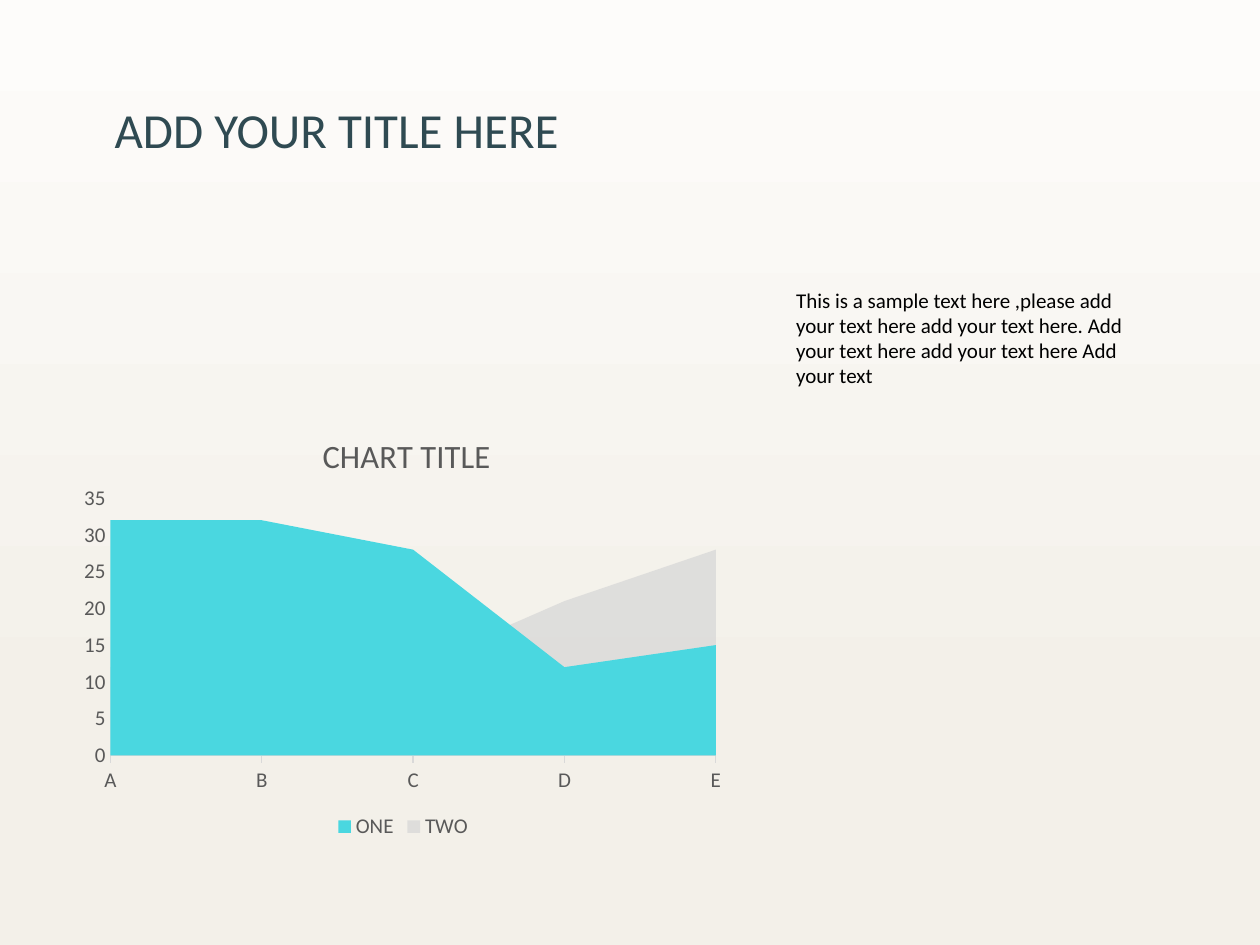
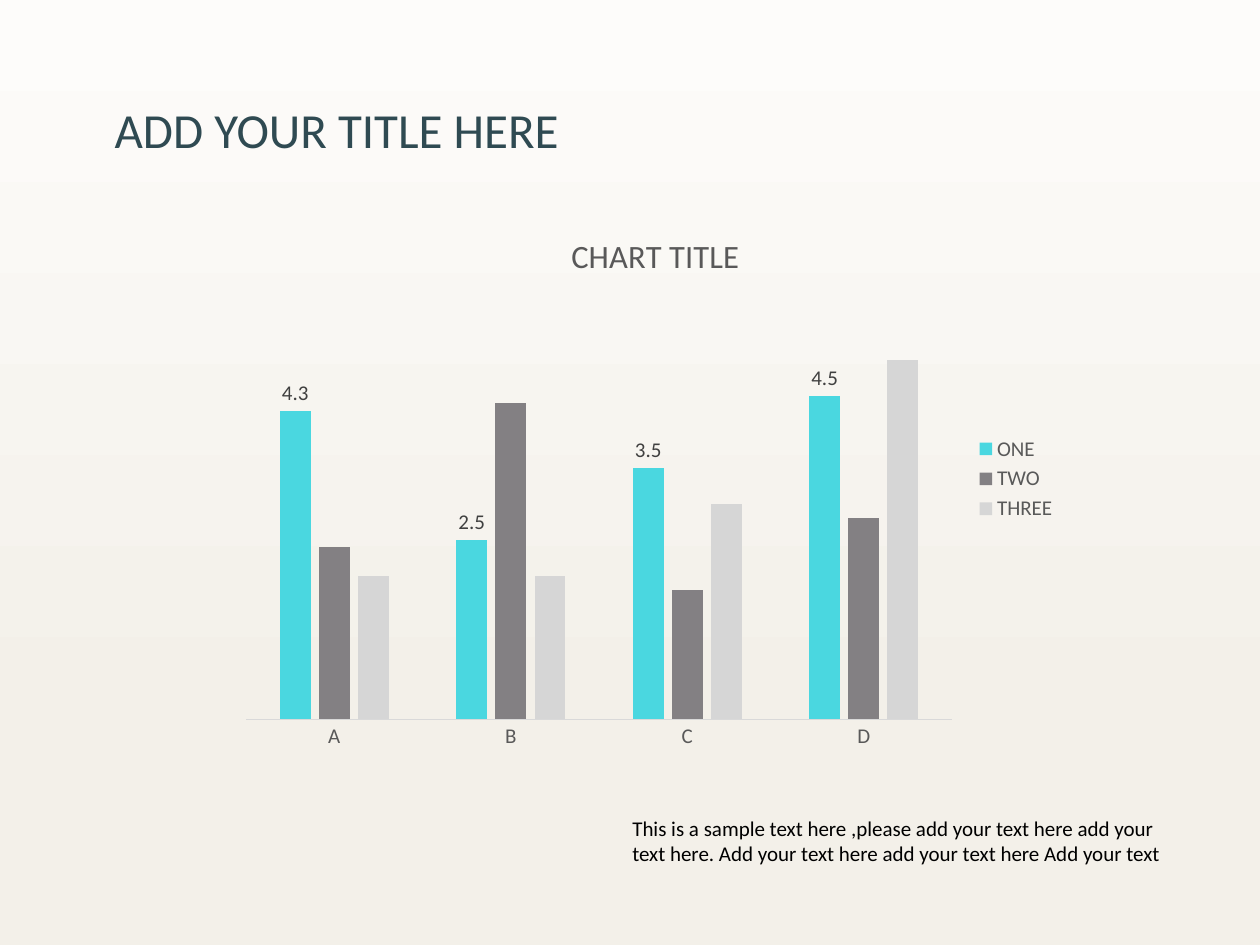
from pptx import Presentation, util as u
from pptx.chart.data import CategoryChartData
from pptx.dml.color import RGBColor
from pptx.enum import chart as ch, text as tx
from pptx.oxml import parse_xml
from pptx.oxml.ns import nsdecls, qn

WIDE, HIGH = 10, 7.5
FONT = "Calibri"
INK, BLACK, GREY, DARK, RULE = "2F4A52", "000000", "595959", "404040", "D9D9D9"
AQUA, SLATE, SILVER = "4AD7E0", "838083", "D6D6D6"
FADE = [(0.23, "F3F0E9"), (1, "FDFCFA")]

HEAD = "ADD YOUR TITLE HERE"
HEAD_BOX = (0.81, 0.74, 3.78, 0.57)
NOTE = ("This is a sample text here ,please add your text here add your text here. "
        "Add your text here add your text here Add your text")
LABEL = "CHART TITLE"

# Boxes are left, top, width, height in inches; "name" and "plot" are shares of the chart.
PAGES = [
    dict(note=(6.22, 2.23, 2.95, 0.91), box=(0.56, 3.18, 5.28, 3.52),
         kind=ch.XL_CHART_TYPE.AREA, legend=ch.XL_LEGEND_POSITION.BOTTOM,
         name=(0.37, 0.06), plot=(0.06, 0.22, 0.91, 0.58),
         top=35, step=5, ticks=ch.XL_TICK_MARK.OUTSIDE, scale=True,
         cats="ABCDE",
         series=[("ONE", [32, 32, 28, 12, 15], AQUA, 100),
                 ("TWO", [12, 12, 12, 21, 28], SILVER, 70)]),
    dict(note=(4.92, 6.42, 4.5, 0.5), box=(1.82, 1.58, 6.67, 4.44),
         kind=ch.XL_CHART_TYPE.COLUMN_CLUSTERED, legend=ch.XL_LEGEND_POSITION.RIGHT,
         name=(0.4, 0.05), plot=(0.02, 0.16, 0.84, 0.77),
         top=6, step=1, ticks=ch.XL_TICK_MARK.NONE, scale=False,
         cats="ABCD", bars=dict(gap_width=219, overlap=-27), marked="ONE",
         series=[("ONE", [4.3, 2.5, 3.5, 4.5], AQUA, 100),
                 ("TWO", [2.4, 4.4, 1.8, 2.8], SLATE, 100),
                 ("THREE", [2, 2, 3, 5], SILVER, 100)]),
]


def rgb(code):
    return RGBColor.from_string(code)


def put(thing, **values):
    for key, value in values.items():
        setattr(thing, key, value)


def style(font, size, color):
    put(font, name=FONT, size=u.Pt(size), bold=False)
    font.color.rgb = rgb(color)


def write(shape, words, size, color):
    frame = shape.text_frame
    put(frame, text=words, word_wrap=True, auto_size=tx.MSO_AUTO_SIZE.NONE,
        vertical_anchor=tx.MSO_ANCHOR.TOP)
    para = frame.paragraphs[0]
    para.alignment = tx.PP_ALIGN.LEFT
    style(para.runs[0].font, size, color)


def pin(part, shares, inner=False):
    """Fix a chart part at shares of the chart's size."""
    old = part.find(qn("c:layout"))
    if old is not None:
        part.remove(old)
    rows = '<c:layoutTarget val="inner"/>' if inner else ""
    rows += '<c:xMode val="edge"/><c:yMode val="edge"/>'
    rows += "".join(f'<c:{key} val="{share}"/>' for key, share in zip("xywh", shares))
    node = parse_xml(f'<c:layout {nsdecls("c")}><c:manualLayout>{rows}'
                     '</c:manualLayout></c:layout>')
    words = part.find(qn("c:tx"))
    if words is not None:
        words.addnext(node)
    else:
        part.insert(0, node)


def paint(series, color, alpha):
    fill = series.format.fill
    fill.solid()
    fill.fore_color.rgb = rgb(color)
    if alpha < 100:
        tint = series._element.find(".//" + qn("a:srgbClr"))
        tint.append(parse_xml(f'<a:alpha {nsdecls("a")} val="{alpha * 1000}"/>'))


def add_axes(chart, page):
    cat, val = chart.category_axis, chart.value_axis
    none = ch.XL_TICK_MARK.NONE
    for axis in (cat, val):
        put(axis, has_major_gridlines=False, minor_tick_mark=none)
        style(axis.tick_labels.font, 12, GREY)
    cat.major_tick_mark = page["ticks"]
    cat.format.line.color.rgb = rgb(RULE)
    cat.format.line.width = u.Pt(0.75)
    put(val, minimum_scale=0, maximum_scale=page["top"], major_unit=page["step"],
        major_tick_mark=none)
    val.format.line.fill.background()
    if not page["scale"]:
        val.tick_label_position = ch.XL_TICK_LABEL_POSITION.NONE


def add_chart(slide, page):
    data = CategoryChartData()
    data.categories = list(page["cats"])
    for name, vals, *_ in page["series"]:
        data.add_series(name, vals)
    chart = slide.shapes.add_chart(page["kind"], *map(u.Inches, page["box"]), data).chart
    style(chart.font, 10, BLACK)

    chart.has_title = True
    frame = chart.chart_title.text_frame
    frame.text = LABEL
    style(frame.paragraphs[0].runs[0].font, 18.6, GREY)
    pin(chart.chart_title._element, page["name"])
    pin(chart._chartSpace.chart.plotArea, page["plot"], inner=True)

    chart.has_legend = True
    put(chart.legend, position=page["legend"], include_in_layout=False)
    style(chart.legend.font, 12, GREY)
    add_axes(chart, page)

    plot = chart.plots[0]
    plot.vary_by_categories = False
    put(plot, **page.get("bars", {}))
    for series, (name, _, color, alpha) in zip(plot.series, page["series"]):
        paint(series, color, alpha)
        if name == page.get("marked"):
            labels = series.data_labels
            put(labels, show_value=True, position=ch.XL_LABEL_POSITION.OUTSIDE_END)
            style(labels.font, 12, DARK)


def add_page(deck, page):
    slide = deck.slides.add_slide(deck.slide_layouts[5])
    head = slide.shapes.title
    put(head, **dict(zip(("left", "top", "width", "height"), map(u.Inches, HEAD_BOX))))
    write(head, HEAD, 28, INK)
    add_chart(slide, page)
    note = slide.shapes.add_textbox(*map(u.Inches, page["note"]))
    write(note, NOTE, 12, BLACK)


def main():
    deck = Presentation()
    put(deck, slide_width=u.Inches(WIDE), slide_height=u.Inches(HIGH))
    fill = deck.slide_master.background.fill
    fill.gradient()
    fill.gradient_angle = 90
    for stop, (place, color) in zip(fill.gradient_stops, FADE):
        stop.position = place
        stop.color.rgb = rgb(color)
    for page in PAGES:
        add_page(deck, page)
    deck.save("out.pptx")


if __name__ == "__main__":
    main()
